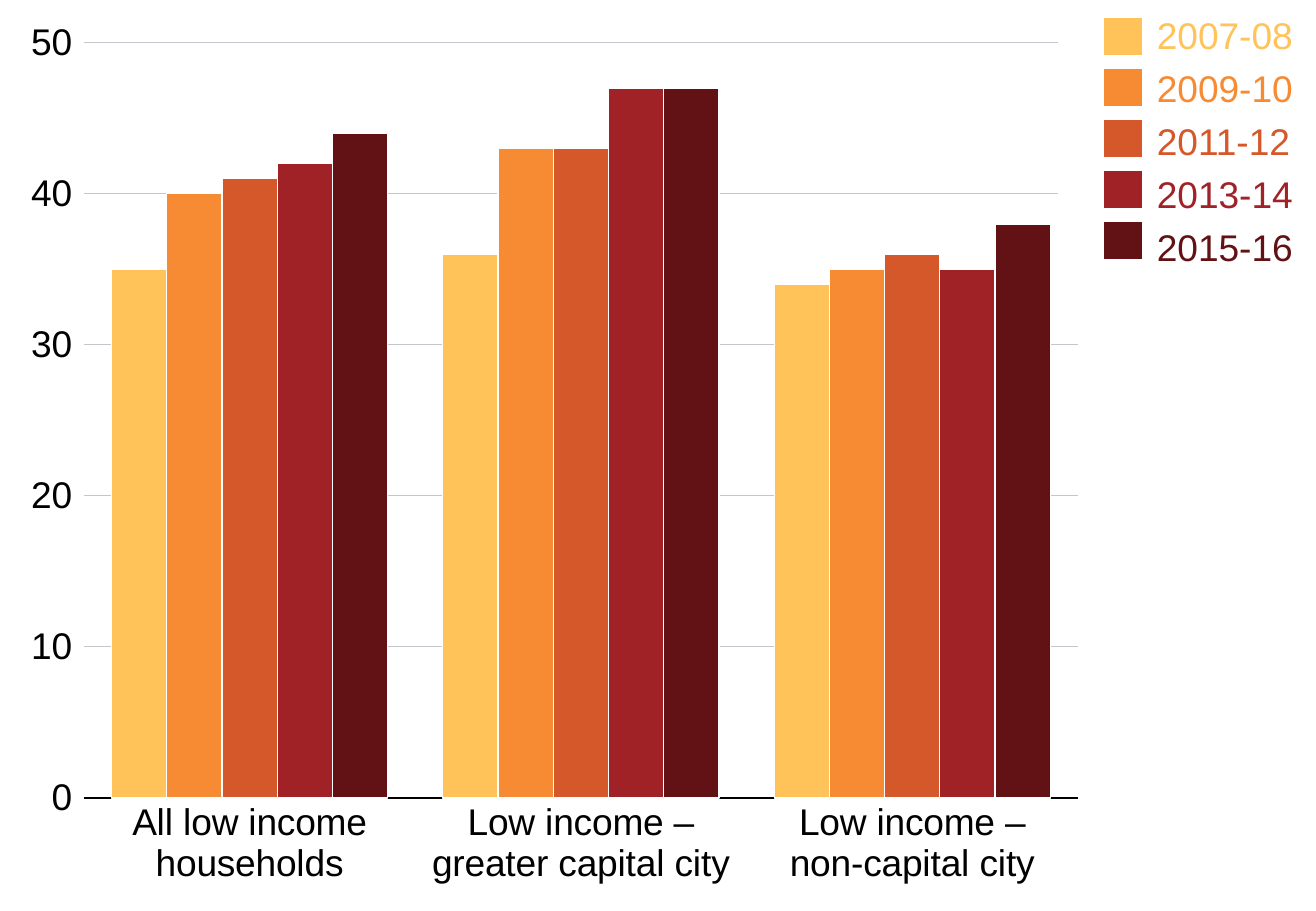
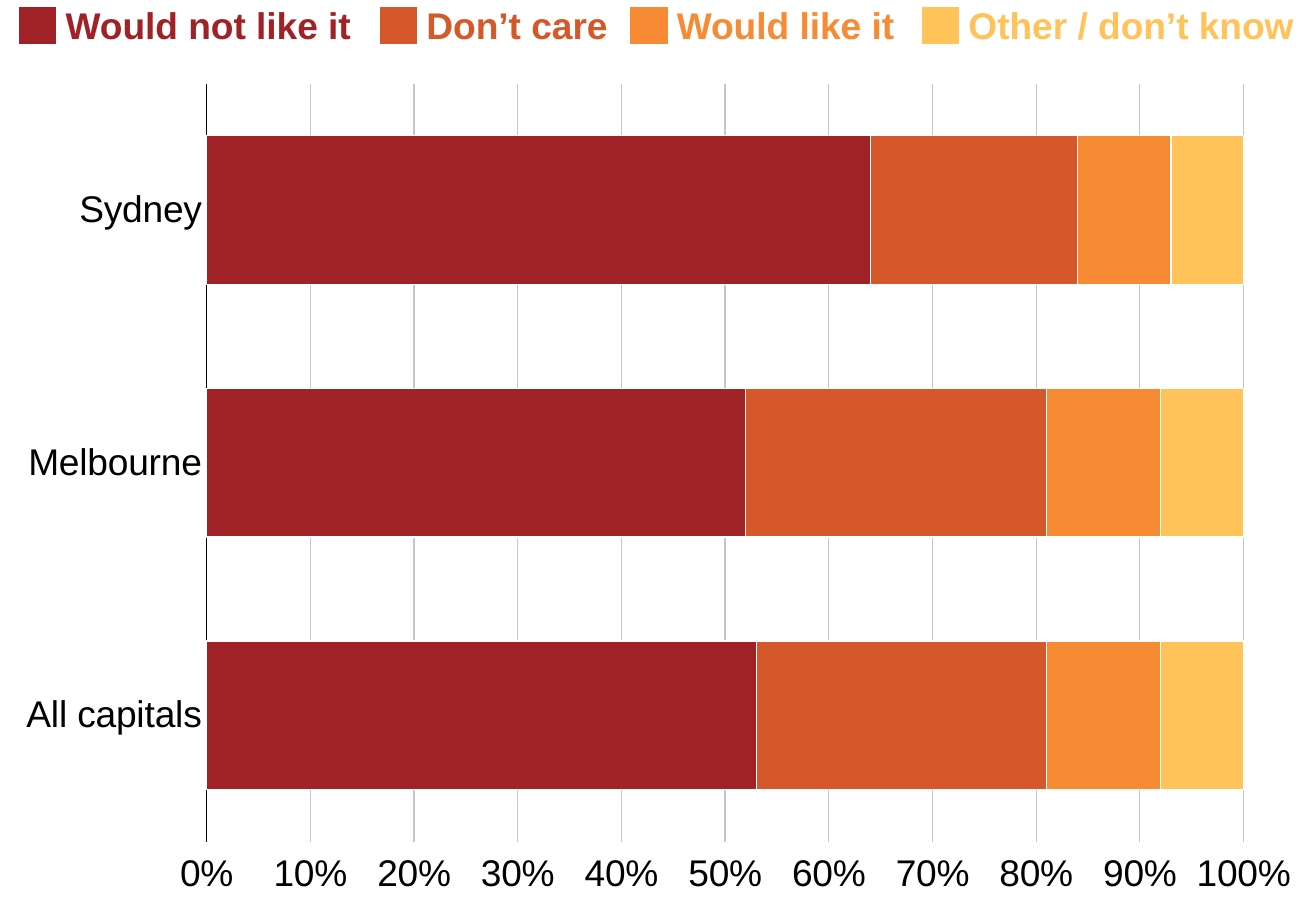
from pptx import Presentation
from pptx.chart.data import CategoryChartData
from pptx.dml.color import RGBColor
from pptx.enum.chart import XL_CHART_TYPE as ChartType, XL_TICK_MARK as Tick
from pptx.enum.shapes import MSO_SHAPE as Preset
from pptx.enum.text import MSO_AUTO_SIZE as AutoSize
from pptx.oxml import parse_xml
from pptx.oxml.ns import nsdecls, qn
from pptx.util import Emu, Pt

PX = 9144
FONT = "Arial"
TEXT_SIZE = Pt(22)
HAIRLINE = Pt(0.75)
SWATCH = 32
COLORS = {
    "yellow": "FFC35A",
    "orange": "F68B33",
    "rust": "D4582A",
    "red": "A02226",
    "maroon": "621214",
    "grid": "C3C7CB",
    "black": "000000",
    "white": "FFFFFF",
}


def px(length):
    return Emu(length * PX)


def color(name):
    return RGBColor.from_string(COLORS[name])


def set_line(line, name):
    line.color.rgb = color(name)
    line.width = HAIRLINE


def set_font(font, name, bold=False):
    font.name = FONT
    font.size = TEXT_SIZE
    font.bold = bold
    font.color.rgb = color(name)


def add_rect(page, x, y, width, height, fill):
    shape = page.shapes.add_shape(Preset.RECTANGLE, px(x), px(y), px(width), px(height))
    shape.shadow.inherit = False
    shape.fill.solid()
    shape.fill.fore_color.rgb = color(fill)
    set_line(shape.line, "white")


def add_labels(page, x, y, width, height, labels, bold=False, line_spacing=None, gap=0):
    box = page.shapes.add_textbox(px(x), px(y), px(width), px(height))
    frame = box.text_frame
    frame.margin_left = frame.margin_right = frame.margin_top = frame.margin_bottom = 0
    frame.word_wrap = True
    frame.auto_size = AutoSize.SHAPE_TO_FIT_TEXT
    frame.text = "\n".join(label for label, _ in labels)
    for index, (para, (_, name)) in enumerate(zip(frame.paragraphs, labels)):
        if line_spacing:
            para.line_spacing = line_spacing
        if index and gap:
            para.space_before = Pt(gap)
        set_font(para.runs[0].font, name, bold)


def set_plot_area(chart, x, y, width, height):
    plot_area = chart.element.chart.plotArea
    for layout in plot_area.findall(qn("c:layout")):
        plot_area.remove(layout)
    plot_area.insert(0, parse_xml(
        f'<c:layout {nsdecls("c")}><c:manualLayout><c:layoutTarget val="inner"/>'
        f'<c:xMode val="edge"/><c:yMode val="edge"/><c:x val="{x}"/><c:y val="{y}"/>'
        f'<c:w val="{width}"/><c:h val="{height}"/></c:manualLayout></c:layout>'))


def style_axes(chart, maximum, step, number_format):
    categories, values = chart.category_axis, chart.value_axis
    for axis in (categories, values):
        set_font(axis.tick_labels.font, "black")
        axis.minor_tick_mark = Tick.NONE
    categories.major_tick_mark = Tick.NONE
    set_line(categories.format.line, "black")
    values.minimum_scale = 0
    values.maximum_scale = maximum
    values.major_unit = step
    values.major_tick_mark = Tick.OUTSIDE
    values.format.line.fill.background()
    values.tick_labels.number_format = number_format
    values.tick_labels.number_format_is_linked = False
    set_line(values.major_gridlines.format.line, "grid")


def add_bar_chart(page, kind, frame, categories, series, gap, overlap, plot_area):
    data = CategoryChartData()
    data.categories = categories
    for number, (_, values) in enumerate(series, 1):
        data.add_series(f"Series {number}", values)
    chart = page.shapes.add_chart(kind, *map(px, frame), data).chart
    chart.has_legend = False
    chart.has_title = False
    set_font(chart.font, "black")
    plot = chart.plots[0]
    plot.vary_by_categories = False
    plot.gap_width = gap
    plot.overlap = overlap
    for bars, (name, _) in zip(plot.series, series):
        bars.format.fill.solid()
        bars.format.fill.fore_color.rgb = color(name)
        set_line(bars.format.line, "white")
    set_plot_area(chart, *plot_area)
    return chart


def build_low_income_page(page):
    categories = ["All low income\nhouseholds",
                  "Low income –\ngreater capital city",
                  "Low income –\nnon-capital city"]
    series = [("yellow", (35, 36, 34)), ("orange", (40, 43, 35)),
              ("rust", (41, 43, 36)), ("red", (42, 47, 35)),
              ("maroon", (44, 47, 38))]
    years = ["2007-08", "2009-10", "2011-12", "2013-14", "2015-16"]
    names = [name for name, _ in series]
    chart = add_bar_chart(page, ChartType.COLUMN_CLUSTERED, (0, 0, 897, 750),
                          categories, series, 100, 0, (0.077, 0.047, 0.912, 0.829))
    style_axes(chart, 50, 10, "#,##0")
    add_rect(page, 871, 2, 213, 180, "white")
    add_labels(page, 952, 10, 132, 208, list(zip(years, names)), gap=5)
    for row, name in enumerate(names):
        add_rect(page, 908, 14 + 42 * row, SWATCH, SWATCH, name)


def build_opinion_page(page):
    series = [("red", (53, 52, 64)), ("rust", (28, 29, 20)),
              ("orange", (11, 11, 9)), ("yellow", (8, 8, 7))]
    legend = [("Would not like it", "red", 15, 240), ("Don’t care", "rust", 312, 162),
              ("Would like it", "orange", 518, 203), ("Other / don’t know", "yellow", 758, 281)]
    chart = add_bar_chart(page, ChartType.BAR_STACKED_100, (0, 55, 1083, 695),
                          ["All capitals", "Melbourne", "Sydney"], series, 70, 100,
                          (0.157, 0.02, 0.788, 0.898))
    style_axes(chart, 1, 0.1, "0%")
    for label, name, x, width in legend:
        add_rect(page, x, 5, SWATCH, SWATCH, name)
        add_labels(page, x + 39, 8, width, 32, [(label, name)], bold=True, line_spacing=0.85)


def main():
    deck = Presentation()
    deck.slide_width, deck.slide_height = px(1083), px(750)
    for build in (build_low_income_page, build_opinion_page):
        build(deck.slides.add_slide(deck.slide_layouts[6]))
    deck.save("out.pptx")


if __name__ == "__main__":
    main()
